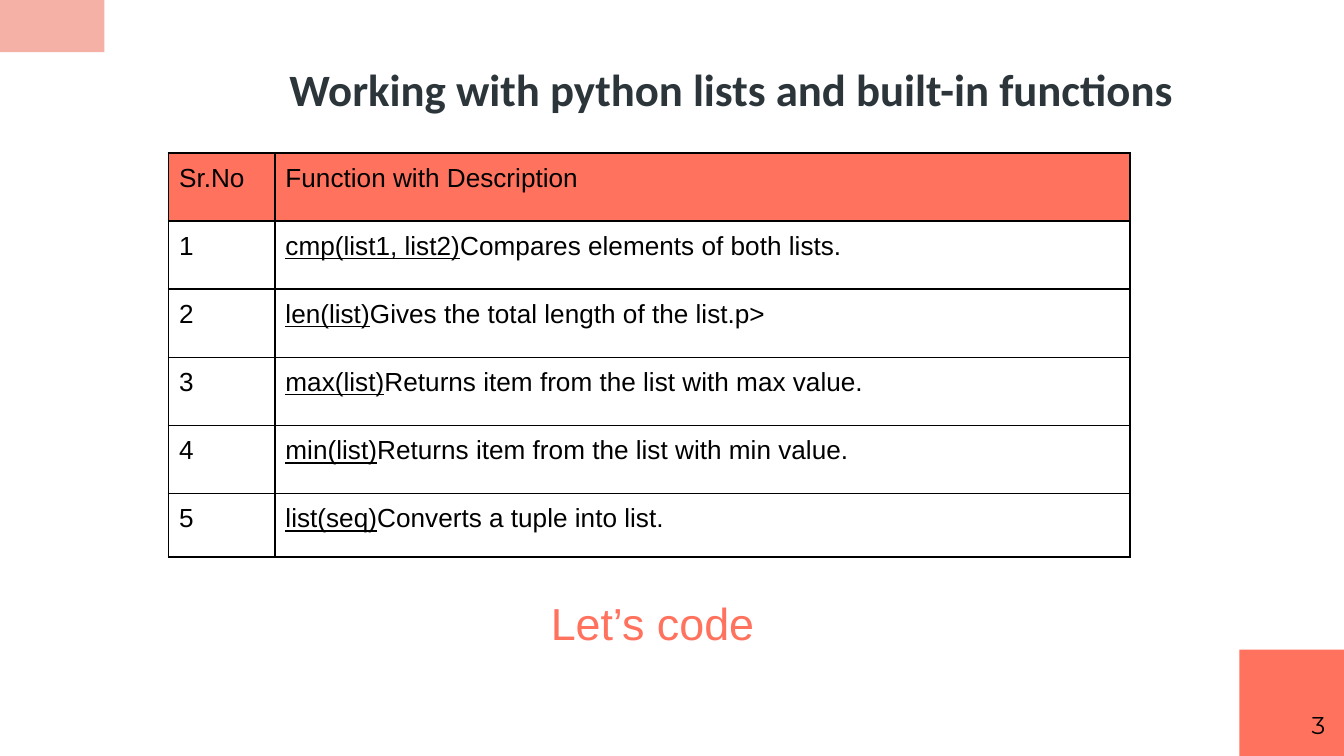
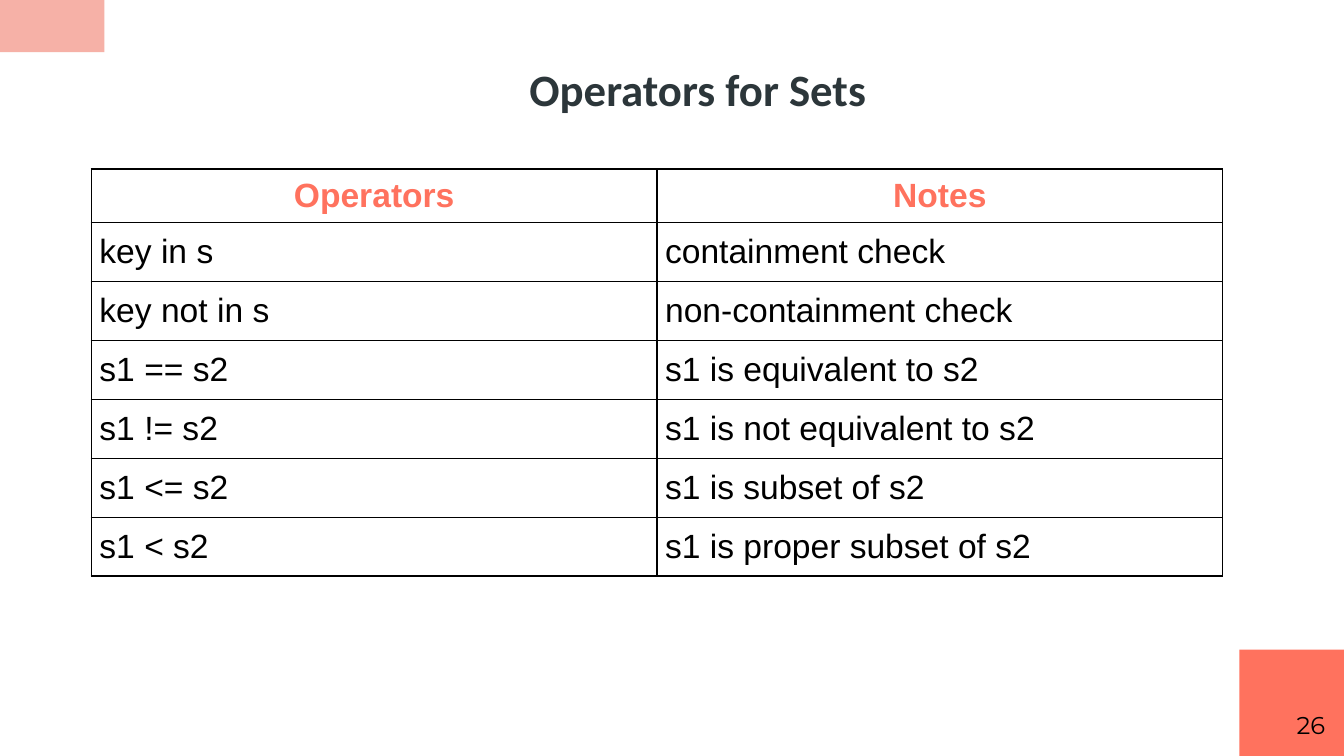
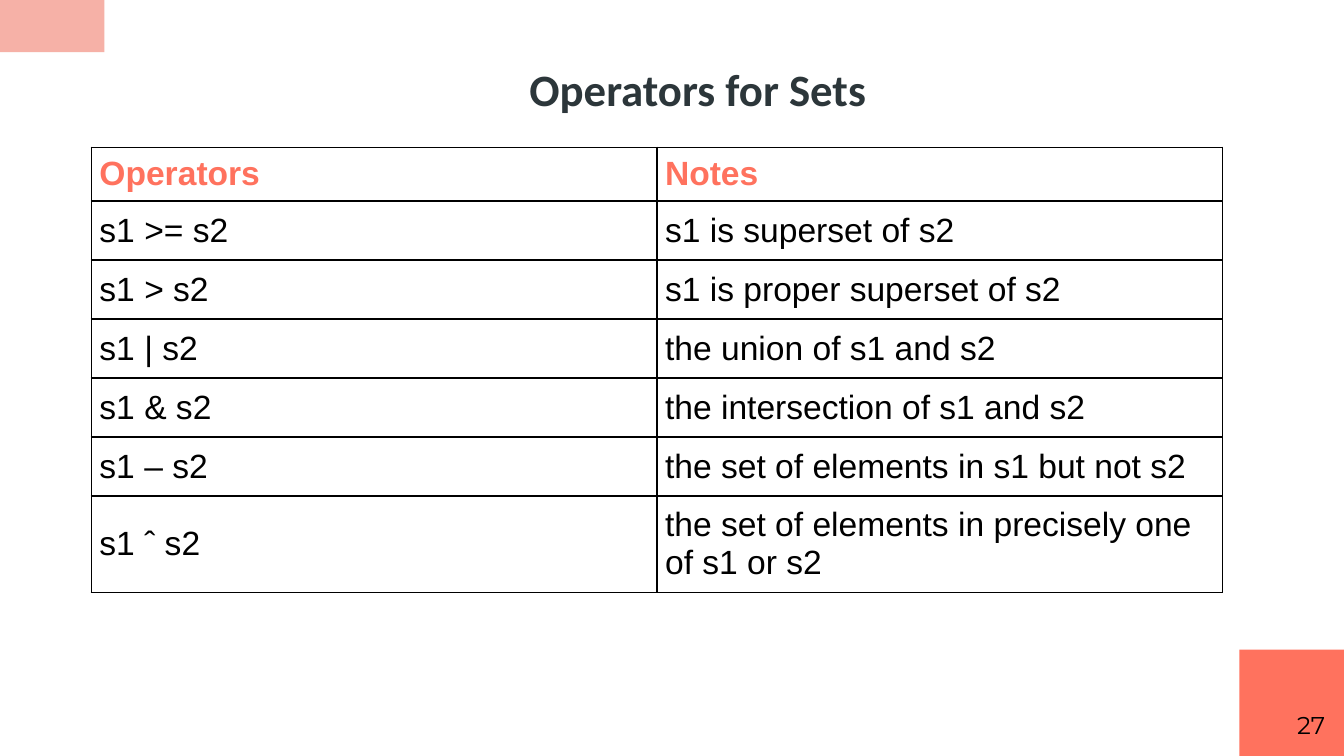
"""Builds three slides on Python list functions and set operators."""
from dataclasses import dataclass
from typing import Optional

import lxml.etree
import pptx
import pptx.dml.color
import pptx.enum.shapes
import pptx.enum.text
import pptx.oxml.ns
import pptx.util

Pt = pptx.util.Pt
ALIGN = pptx.enum.text.PP_ALIGN
ANCHOR = pptx.enum.text.MSO_ANCHOR
FIT = pptx.enum.text.MSO_AUTO_SIZE

CORAL, PINK, INK, BLACK = "FF725E", "F6B1A7", "2C363A", "000000"
WIDTH, HEIGHT = 720, 405


@dataclass(frozen=True)
class Box:
    left: float
    top: float
    width: float
    height: float


@dataclass(frozen=True)
class Band:
    box: Box
    color: str


@dataclass(frozen=True)
class Row:
    cells: tuple[str, ...]
    call: str = ""


@dataclass(frozen=True)
class Grid:
    box: Box
    columns: tuple[float, ...]
    heights: tuple[float, ...]
    rows: tuple[Row, ...]
    size: float
    anchor: ANCHOR
    head_insets: tuple[float, ...]
    body_insets: tuple[float, ...]
    head_color: str = BLACK
    head_bold: bool = False
    head_align: ALIGN = ALIGN.LEFT
    head_fill: Optional[str] = None


@dataclass(frozen=True)
class Page:
    title: str
    number: int
    title_box: Box
    grid: Grid
    title_anchor: ANCHOR = ANCHOR.MIDDLE
    title_inset_top: float = 7.2
    closing: str = ""


BANDS = (
    Band(Box(0, 0, 56, 28), PINK),
    Band(Box(664, 348, 56, 57), CORAL),
)
NUMBER_BOX = Box(674, 373.5, 43, 31)
CLOSING_BOX = Box(288, 315.5, 125, 36)
SET_TITLE_BOX = Box(49, 16, 649.5, 62.5)

LIST_ROWS = (
    Row(("Sr.No", "Function with Description")),
    Row(("1", "Compares elements of both lists."), "cmp(list1, list2)"),
    Row(("2", "Gives the total length of the list.p>"), "len(list)"),
    Row(("3", "Returns item from the list with max value."), "max(list)"),
    Row(("4", "Returns item from the list with min value."), "min(list)"),
    Row(("5", "Converts a tuple into list."), "list(seq)"),
)
COMPARISON_ROWS = (
    Row(("Operators", "Notes")),
    Row(("key in s", "containment check")),
    Row(("key not in s", "non-containment check")),
    Row(("s1 == s2", "s1 is equivalent to s2")),
    Row(("s1 != s2", "s1 is not equivalent to s2")),
    Row(("s1 <= s2", "s1 is subset of s2")),
    Row(("s1 < s2", "s1 is proper subset of s2")),
)
COMBINATION_ROWS = (
    Row(("Operators", "Notes")),
    Row(("s1 >= s2", "s1 is superset of s2")),
    Row(("s1 > s2", "s1 is proper superset of s2")),
    Row(("s1 | s2", "the union of s1 and s2")),
    Row(("s1 & s2", "the intersection of s1 and s2")),
    Row(("s1 – s2", "the set of elements in s1 but not s2")),
    Row(("s1 ˆ s2", "the set of elements in precisely one of s1 or s2")),
)


def set_grid(top: float, height: float, rows: tuple[Row, ...], align: ALIGN) -> Grid:
    return Grid(
        Box(49, top, 606, height), (303, 303), (18.7,) + (20.9,) * 6, rows,
        size=18, anchor=ANCHOR.MIDDLE,
        head_insets=(4.3,) * 4, body_insets=(4.3, 5.7, 4.3, 5.7),
        head_color=CORAL, head_bold=True, head_align=align,
    )


LIST_GRID = Grid(
    Box(90.25, 82, 515, 216), (57, 458), (36.5,) * 5 + (34,), LIST_ROWS,
    size=14, anchor=ANCHOR.TOP, head_insets=(5.7,) * 4, body_insets=(5.7,) * 4,
    head_fill=CORAL,
)
PAGES = (
    Page("Working with python lists and built-in functions", 3,
         Box(67, 29, 649.5, 62.5), LIST_GRID, title_anchor=ANCHOR.TOP,
         title_inset_top=4, closing="Let’s code"),
    Page("Operators for Sets", 26, SET_TITLE_BOX,
         set_grid(90.5, 233.5, COMPARISON_ROWS, ALIGN.CENTER)),
    Page("Operators for Sets", 27, SET_TITLE_BOX,
         set_grid(79, 255, COMBINATION_ROWS, ALIGN.LEFT)),
)


def rgb(color: str) -> pptx.dml.color.RGBColor:
    return pptx.dml.color.RGBColor.from_string(color)


def place(box: Box) -> tuple[int, ...]:
    return tuple(Pt(v) for v in (box.left, box.top, box.width, box.height))


def write(p, text: str, *, size: float, font: str = "Arial", color: str = BLACK,
          bold: bool = False, underline: bool = False, align: ALIGN = ALIGN.LEFT) -> None:
    p.alignment = align
    r = p.add_run()
    r.text = text
    r.font.size = Pt(size)
    r.font.name = font
    r.font.bold = bold
    r.font.underline = underline
    r.font.color.rgb = rgb(color)


def set_insets(target, insets: tuple[float, ...]) -> None:
    sides = ("margin_left", "margin_top", "margin_right", "margin_bottom")
    for side, inset in zip(sides, insets):
        setattr(target, side, Pt(inset))


def draw_band(s, band: Band):
    sp = s.shapes.add_shape(pptx.enum.shapes.MSO_SHAPE.RECTANGLE, *place(band.box))
    sp.shadow.inherit = False
    sp.fill.solid()
    sp.fill.fore_color.rgb = rgb(band.color)
    sp.line.fill.background()
    return sp


def draw_title(s, page: Page) -> None:
    sp = s.shapes.title
    sp.left, sp.top, sp.width, sp.height = place(page.title_box)
    tf = sp.text_frame
    tf.auto_size = FIT.NONE
    tf.word_wrap = True
    tf.vertical_anchor = page.title_anchor
    set_insets(tf, (7.2, page.title_inset_top, 7.2, 7.2))
    write(tf.paragraphs[0], page.title, size=24, font="Calibri", color=INK,
          bold=True, align=ALIGN.CENTER)


def draw_text(s, box: Box, text: str, insets: tuple[float, ...], fit: FIT, **style) -> None:
    tf = s.shapes.add_textbox(*place(box)).text_frame
    tf.word_wrap = True
    tf.auto_size = fit
    set_insets(tf, insets)
    write(tf.paragraphs[0], text, **style)


def draw_borders(cell) -> None:
    qn = pptx.oxml.ns.qn
    props = cell._tc.get_or_add_tcPr()
    for side in ("a:lnL", "a:lnR", "a:lnT", "a:lnB"):
        ln = lxml.etree.SubElement(props, qn(side), w=str(Pt(1)))
        fill = lxml.etree.SubElement(ln, qn("a:solidFill"))
        lxml.etree.SubElement(fill, qn("a:srgbClr"), val=BLACK)


def fill_cell(cell, grid: Grid, text: str, call: str, head: bool) -> None:
    draw_borders(cell)
    if head and grid.head_fill:
        cell.fill.solid()
        cell.fill.fore_color.rgb = rgb(grid.head_fill)
    else:
        cell.fill.background()
    set_insets(cell, grid.head_insets if head else grid.body_insets)
    cell.vertical_anchor = grid.anchor
    p = cell.text_frame.paragraphs[0]
    if call:
        write(p, call, size=grid.size, underline=True)
    if head:
        write(p, text, size=grid.size, color=grid.head_color,
              bold=grid.head_bold, align=grid.head_align)
    else:
        write(p, text, size=grid.size)


def draw_grid(s, grid: Grid) -> None:
    frame = s.shapes.add_table(len(grid.rows), len(grid.columns), *place(grid.box))
    table = frame.table
    table.first_row = table.horz_banding = False
    for column, width in zip(table.columns, grid.columns):
        column.width = Pt(width)
    for i, row in enumerate(grid.rows):
        table.rows[i].height = Pt(grid.heights[i])
        for j, text in enumerate(row.cells):
            fill_cell(table.cell(i, j), grid, text, row.call if j == 1 else "", i == 0)
    frame.height = Pt(grid.box.height)


def draw_page(s, page: Page) -> None:
    draw_title(s, page)
    draw_text(s, NUMBER_BOX, str(page.number), (7.2,) * 4, FIT.NONE,
              size=13, font="Montserrat", align=ALIGN.RIGHT)
    draw_grid(s, page.grid)
    if page.closing:
        draw_text(s, CLOSING_BOX, page.closing, (7.2, 3.6, 7.2, 3.6),
                  FIT.SHAPE_TO_FIT_TEXT, size=24, color=CORAL)


def main() -> None:
    prs = pptx.Presentation()
    prs.slide_width, prs.slide_height = Pt(WIDTH), Pt(HEIGHT)
    layout = prs.slide_layouts.get_by_name("Title Only")
    slides = [prs.slides.add_slide(layout) for _ in PAGES]
    for band in BANDS:
        layout.shapes.element.append(draw_band(slides[0], band).element)
    for s, page in zip(slides, PAGES):
        draw_page(s, page)
    prs.save("out.pptx")


if __name__ == "__main__":
    main()
